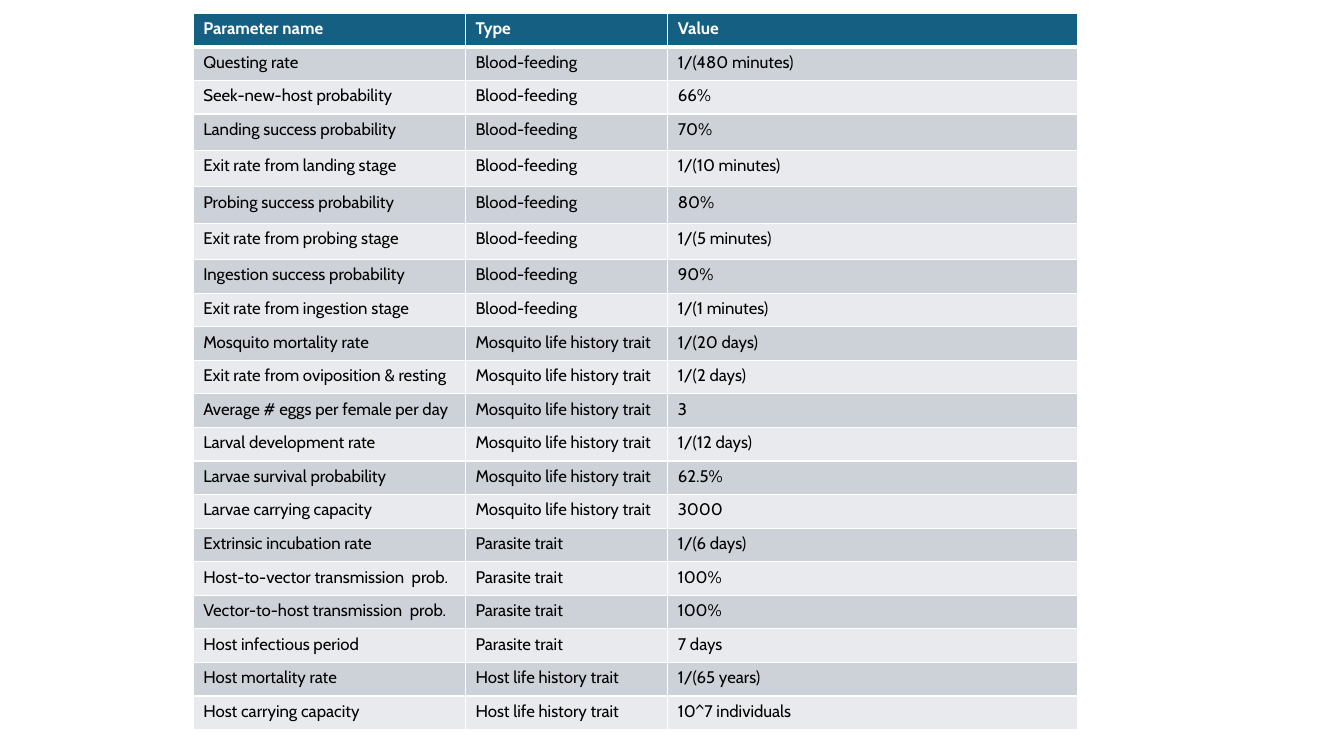
from dataclasses import astuple, dataclass

from lxml.etree import SubElement
from pptx import Presentation
from pptx.dml.color import RGBColor
from pptx.oxml.ns import qn
from pptx.table import _Cell
from pptx.util import Emu, Pt


@dataclass(frozen=True)
class Theme:
    font: str = "Cabin"
    size: int = 12
    header_fill: str = "156082"
    header_text: str = "FFFFFF"
    body_text: str = "000000"
    bands: tuple[str, str] = ("CCD2D8", "E8EAED")
    border: str = "FFFFFF"
    thin: int = 1
    thick: int = 3


@dataclass(frozen=True)
class Parameter:
    name: str
    kind: str
    value: str


THEME = Theme()
BLOOD = "Blood-feeding"
MOSQUITO = "Mosquito life history trait"
PARASITE = "Parasite trait"
HOST = "Host life history trait"

HEADER = Parameter("Parameter name", "Type", "Value")
PARAMETERS = [
    Parameter("Questing rate", BLOOD, "1/(480 minutes)"),
    Parameter("Seek-new-host probability", BLOOD, "66%"),
    Parameter("Landing success probability", BLOOD, "70%"),
    Parameter("Exit rate from landing stage", BLOOD, "1/(10 minutes)"),
    Parameter("Probing success probability", BLOOD, "80%"),
    Parameter("Exit rate from probing stage", BLOOD, "1/(5 minutes)"),
    Parameter("Ingestion success probability", BLOOD, "90%"),
    Parameter("Exit rate from ingestion stage", BLOOD, "1/(1 minutes)"),
    Parameter("Mosquito mortality rate", MOSQUITO, "1/(20 days)"),
    Parameter("Exit rate from oviposition & resting", MOSQUITO, "1/(2 days)"),
    Parameter("Average # eggs per female per day", MOSQUITO, "3"),
    Parameter("Larval development rate", MOSQUITO, "1/(12 days)"),
    Parameter("Larvae survival probability", MOSQUITO, "62.5%"),
    Parameter("Larvae carrying capacity", MOSQUITO, "3000"),
    Parameter("Extrinsic incubation rate", PARASITE, "1/(6 days)"),
    Parameter("Host-to-vector transmission  prob.", PARASITE, "100%"),
    Parameter("Vector-to-host transmission  prob.", PARASITE, "100%"),
    Parameter("Host infectious period", PARASITE, "7 days"),
    Parameter("Host mortality rate", HOST, "1/(65 years)"),
    Parameter("Host carrying capacity", HOST, "10^7 individuals"),
]

SLIDE_W, SLIDE_H = 1920, 1080
TABLE_LEFT, TABLE_TOP = 276, 19
COLUMN_WIDTHS = (389, 289, 586)
ROW_HEIGHT, TALL_ROW_HEIGHT = 48, 52
TALL_ROWS = range(3, 7)


def px(n: int) -> Emu:
    """Convert px, at 144 to the inch, to EMU."""
    return Emu(n * 6350)


def set_borders(cell: _Cell, top: int, bottom: int) -> None:
    """Draw all four edges; top and bottom are widths in points."""
    tc_pr = cell._tc.get_or_add_tcPr()
    widths = {"lnL": THEME.thin, "lnR": THEME.thin, "lnT": top, "lnB": bottom}
    for edge, width in widths.items():
        ln = SubElement(tc_pr, qn(f"a:{edge}"), w=str(Pt(width)))
        fill = SubElement(ln, qn("a:solidFill"))
        SubElement(fill, qn("a:srgbClr"), val=THEME.border)


def fill_cell(cell: _Cell, text: str, row: int) -> None:
    is_header = row == 0
    set_borders(
        cell,
        top=THEME.thick if row == 1 else THEME.thin,
        bottom=THEME.thick if is_header else THEME.thin,
    )
    color = THEME.header_fill if is_header else THEME.bands[(row - 1) % 2]
    cell.fill.solid()
    cell.fill.fore_color.rgb = RGBColor.from_string(color)
    p = cell.text_frame.paragraphs[0]
    p.text = text
    font = p.runs[0].font
    font.name = THEME.font
    font.size = Pt(THEME.size)
    font.bold = is_header
    font.color.rgb = RGBColor.from_string(
        THEME.header_text if is_header else THEME.body_text
    )


def main() -> None:
    prs = Presentation()
    prs.slide_width, prs.slide_height = px(SLIDE_W), px(SLIDE_H)
    s = prs.slides.add_slide(prs.slide_layouts[6])

    rows = [HEADER, *PARAMETERS]
    heights = [
        TALL_ROW_HEIGHT if i in TALL_ROWS else ROW_HEIGHT for i in range(len(rows))
    ]
    table = s.shapes.add_table(
        len(rows), len(COLUMN_WIDTHS), px(TABLE_LEFT), px(TABLE_TOP),
        px(sum(COLUMN_WIDTHS)), px(sum(heights)),
    ).table
    for column, width in zip(table.columns, COLUMN_WIDTHS):
        column.width = px(width)
    for i, (parameter, height) in enumerate(zip(rows, heights)):
        table.rows[i].height = px(height)
        for j, text in enumerate(astuple(parameter)):
            fill_cell(table.cell(i, j), text, i)

    prs.save("out.pptx")


if __name__ == "__main__":
    main()
